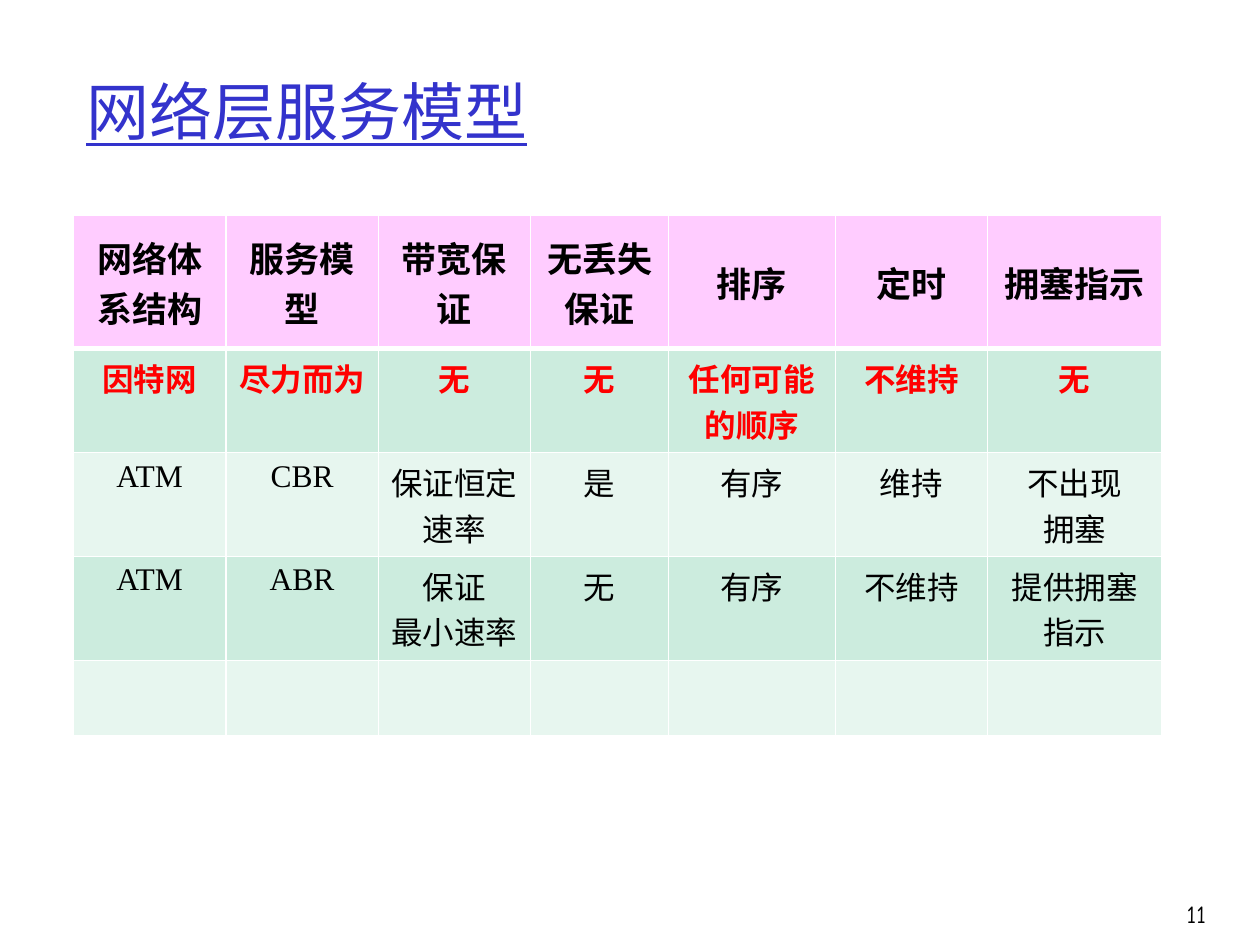
from pptx import Presentation
from pptx.dml.color import RGBColor
from pptx.enum.text import MSO_ANCHOR, PP_ALIGN
from pptx.oxml.ns import qn
from pptx.util import Pt
from lxml import etree

LEFT, CENTER, RIGHT = PP_ALIGN.LEFT, PP_ALIGN.CENTER, PP_ALIGN.RIGHT
TOP, MIDDLE = MSO_ANCHOR.TOP, MSO_ANCHOR.MIDDLE

# Content
TITLE = "网络层服务模型"
NUMBER = "11"
HEADS = ["网络体系结构", "服务模型", "带宽保证", "无丢失保证", "排序", "定时", "拥塞指示"]
ROWS = [
    ["因特网", "尽力而为", "无", "无", "任何可能的顺序", "不维持", "无"],
    ["ATM", "CBR", "保证恒定\n速率", "是", "有序", "维持", "不出现\n拥塞"],
    ["ATM", "ABR", "保证\n最小速率", "无", "有序", "不维持", "提供拥塞指示"],
    [""] * len(HEADS),
]

# Theme
BLACK = RGBColor.from_string("000000")
THEME = {
    "title": dict(name="Cambria", size=Pt(36), underline=True,
                  color=RGBColor.from_string("3333CC")),
    "number": dict(name="Comic Neue", size=Pt(14), color=BLACK),
    "head": dict(name="Times New Roman", size=Pt(20), bold=True, color=BLACK),
    "key": dict(name="Times New Roman", size=Pt(18), bold=True,
                color=RGBColor.from_string("FF0000")),
    "body": dict(name="Times New Roman", size=Pt(18), bold=False, color=BLACK),
    "pink": RGBColor.from_string("FFCCFF"),
    "bands": [RGBColor.from_string("CCECDE"), RGBColor.from_string("E7F6EF")],
    "rule": "FFFFFF",
}

# Layout in points
SLIDE = (720, 540)
TITLE_BOX = (42, 18, 636.5, 90)
NUMBER_BOX = (643, 504, 53.3, 36)
GRID_AT = (42, 123.1)
WIDTHS = [87.1, 87.1, 87.1, 78.8, 95.3, 87.1, 99.3]
HEIGHTS = [76.2, 58.6, 59.3, 59.3, 42.9]


def write(frame, text, style, align):
    """Fill a text frame and format every run in it."""
    frame.text = text
    for para in frame.paragraphs:
        para.alignment = align
        for run in para.runs:
            for key, value in THEME[style].items():
                if key == "color":
                    run.font.color.rgb = value
                else:
                    setattr(run.font, key, value)


def rule(cell, widths):
    """Draw the cell's borders: side letter to line width."""
    props = cell._tc.get_or_add_tcPr()
    for side, width in widths.items():
        line = etree.SubElement(props, qn(f"a:ln{side}"), w=str(Pt(width)))
        fill = etree.SubElement(line, qn("a:solidFill"))
        etree.SubElement(fill, qn("a:srgbClr"), val=THEME["rule"])


def main():
    deck = Presentation()
    deck.slide_width, deck.slide_height = map(Pt, SLIDE)
    slide = deck.slides.add_slide(deck.slide_layouts[5])

    # Title
    title = slide.shapes.title
    title.left, title.top, title.width, title.height = map(Pt, TITLE_BOX)
    title.text_frame.vertical_anchor = MIDDLE
    write(title.text_frame, TITLE, "title", LEFT)

    # Service table
    lines = [HEADS] + ROWS
    size = (sum(WIDTHS), sum(HEIGHTS))
    table = slide.shapes.add_table(len(lines), len(HEADS),
                                   *map(Pt, GRID_AT + size)).table
    for col, width in zip(table.columns, WIDTHS):
        col.width = Pt(width)
    for r, line in enumerate(lines):
        table.rows[r].height = Pt(HEIGHTS[r])
        style = ("head", "key")[r] if r < 2 else "body"
        for c, text in enumerate(line):
            cell = table.cell(r, c)
            rule(cell, {"L": 1, "R": 1, "T": 3 if r == 1 else 1,
                        "B": 3 if r == 0 else 1})
            cell.fill.solid()
            cell.fill.fore_color.rgb = THEME["bands"][(r - 1) % 2] if r else THEME["pink"]
            cell.vertical_anchor = TOP if r else MIDDLE
            write(cell.text_frame, text, style, CENTER)

    # Page number
    frame = slide.shapes.add_textbox(*map(Pt, NUMBER_BOX)).text_frame
    frame.word_wrap = True
    frame.vertical_anchor = MIDDLE
    write(frame, NUMBER, "number", RIGHT)

    deck.save("out.pptx")


if __name__ == "__main__":
    main()
